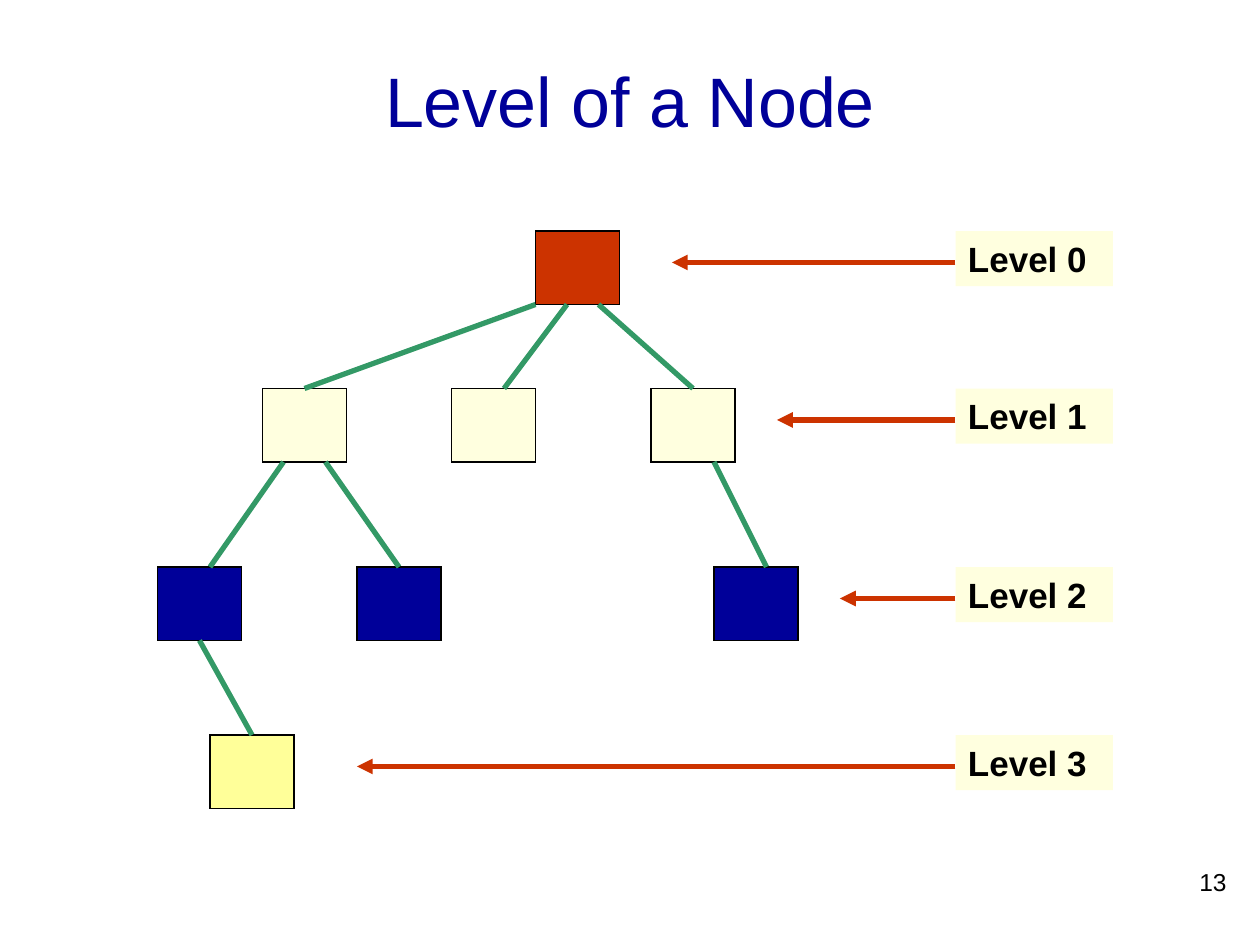
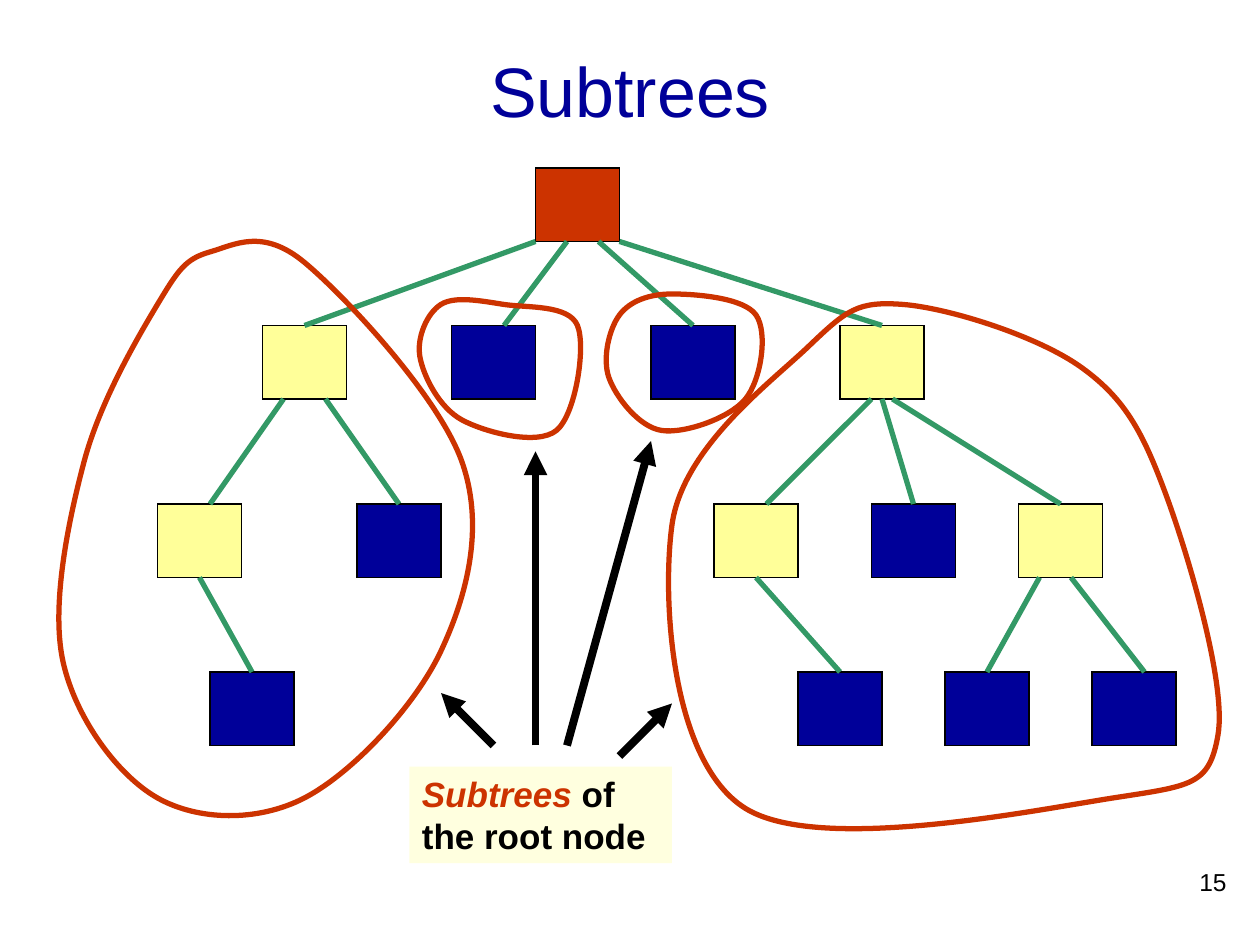
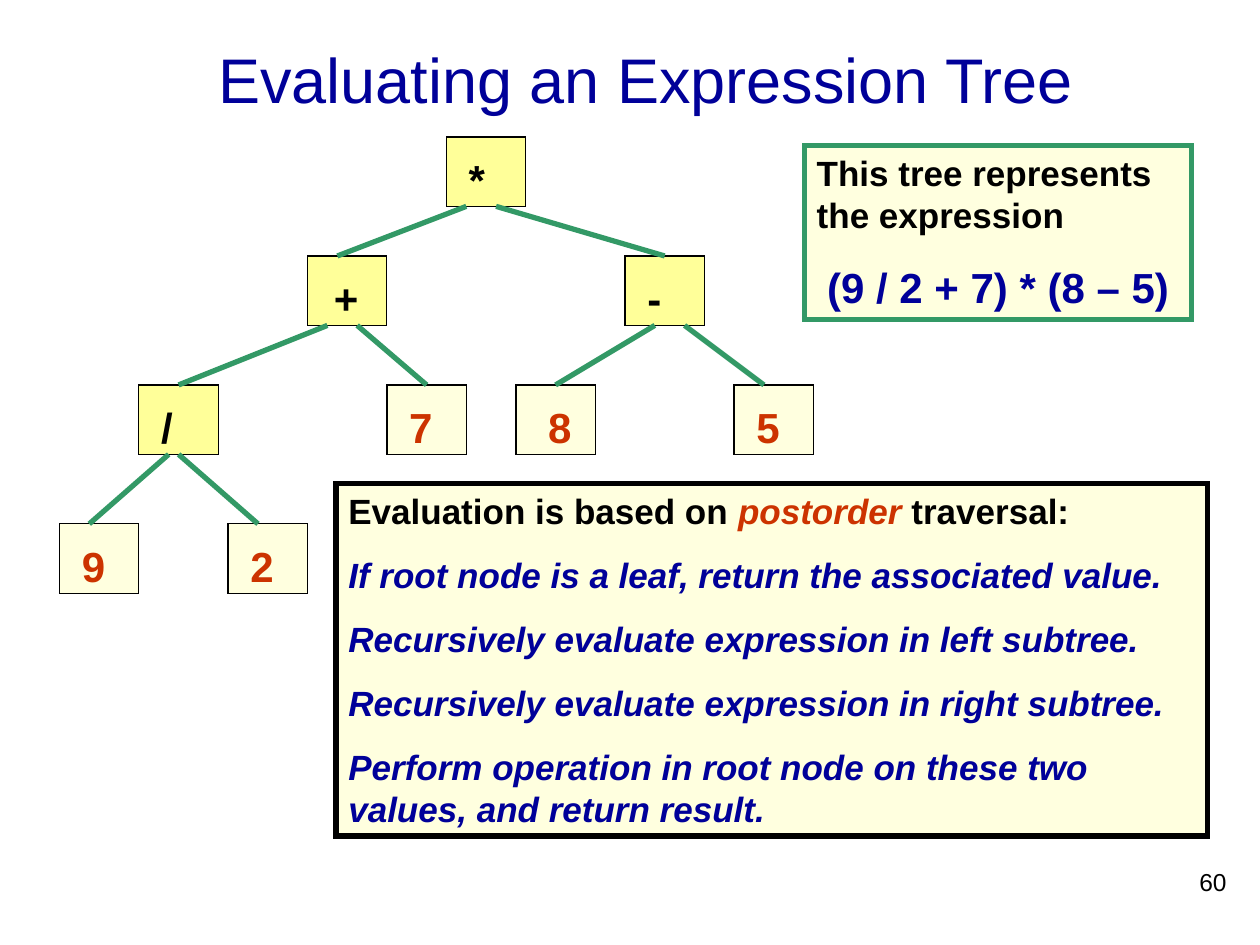
from pptx import Presentation, util as u
from pptx.dml.color import RGBColor
from pptx.enum import shapes, text
from pptx.oxml.ns import qn
from lxml import etree

rgb = RGBColor.from_string
RED, NAVY, GREEN, BLACK = "CC3300", "000099", "339966", "000000"
CREAM, YELLOW = "FFFFDF", "FFFF99"
LEFT, MID, RIGHT = text.PP_ALIGN.LEFT, text.PP_ALIGN.CENTER, text.PP_ALIGN.RIGHT

deck = Presentation()
deck.slide_width, deck.slide_height = u.Inches(10), u.Inches(7.5)
CELL = deck.slide_width / 120
SMALL = u.Mm(2)
WIDE, HIGH = 8, 7


def box(page, area, paras=(), fill=None, edge=None, thick=0.75, unit=CELL):
    area = [round(n * unit) for n in area]
    if fill:
        shape = page.shapes.add_shape(shapes.MSO_SHAPE.RECTANGLE, *area)
        shape.shadow.inherit = False
        shape.fill.solid()
        shape.fill.fore_color.rgb = rgb(fill)
        if edge:
            shape.line.color.rgb = rgb(edge)
            shape.line.width = u.Pt(thick)
            etree.SubElement(shape.line._get_or_add_ln(), qn("a:miter"), lim="800000")
        else:
            shape.line.fill.background()
    else:
        shape = page.shapes.add_textbox(*area)
    frame = shape.text_frame
    frame.word_wrap = True
    frame.vertical_anchor = text.MSO_ANCHOR.TOP
    for i, (size, bold, align, runs) in enumerate(paras):
        para = frame.add_paragraph() if i else frame.paragraphs[0]
        para.alignment = align
        if i:
            para.space_before = u.Pt(size * 0.625)
        para.font.name = "Arial"
        para.font.size = u.Pt(size)
        para.font.bold = bold
        for words, tint, slant in runs:
            run = para.add_run()
            run.text = words
            run.font.color.rgb = rgb(tint)
            run.font.italic = slant
    return shape


def link(page, ends, tint, thick=3, arrow=False, unit=CELL):
    ends = [round(n * unit) for n in ends]
    line = page.shapes.add_connector(shapes.MSO_CONNECTOR.STRAIGHT, *ends)
    line.line.color.rgb = rgb(tint)
    line.line.width = u.Pt(thick)
    if arrow:
        etree.SubElement(line.line._get_or_add_ln(), qn("a:tailEnd"), type="triangle")
    etree.SubElement(line._element.spPr, qn("a:effectLst"))


trees = [
    dict(title="Level of a Node", size=40, area=(9, 2, 102, 15), num="13",
         unit=CELL, tops=(22, 37, 54, 70),
         nodes=[[(51, RED)],
                [(25, CREAM), (43, CREAM), (62, CREAM)],
                [(15, NAVY), (34, NAVY), (68, NAVY)],
                [(20, YELLOW)]],
         links=[[(51, 29), (54, 48), (57, 66)],
                [(27, 20), (31, 38), (68, 73)],
                [(19, 24)]]),
    dict(title="Subtrees", size=40, area=(9, 4, 102, 9), num="15",
         unit=CELL, tops=(16, 31, 48, 64),
         nodes=[[(51, RED)],
                [(25, YELLOW), (43, NAVY), (62, NAVY), (80, YELLOW)],
                [(15, YELLOW), (34, NAVY), (68, YELLOW), (83, NAVY), (97, YELLOW)],
                [(20, NAVY), (76, NAVY), (90, NAVY), (104, NAVY)]],
         links=[[(51, 29), (54, 48), (57, 66), (59, 84)],
                [(27, 20), (31, 38), (83, 73), (84, 87), (85, 101)],
                [(19, 24), (72, 80), (99, 94), (102, 109)]]),
    dict(title="Evaluating an Expression Tree", size=36, area=(10, 2, 103, 11), num="60",
         unit=SMALL, tops=(13.8, 25.8, 38.8, 52.8),
         nodes=[[(45, YELLOW)],
                [(31, YELLOW), (63, YELLOW)],
                [(14, YELLOW), (39, CREAM), (52, CREAM), (74, CREAM)],
                [(6, CREAM), (23, CREAM)]],
         links=[[(47, 34), (50, 67)],
                [(33, 18), (36, 43), (66, 56), (69, 77)],
                [(17, 9), (18, 26)]]),
]

pages = []
for tree in trees:
    page = deck.slides.add_slide(deck.slide_layouts[6])
    pages.append(page)
    unit, tops = tree["unit"], tree["tops"]
    title = box(page, tree["area"], [(tree["size"], False, MID, [(tree["title"], NAVY, False)])])
    title.text_frame.vertical_anchor = text.MSO_ANCHOR.MIDDLE
    for top, row in zip(tops, tree["nodes"]):
        for left, fill in row:
            box(page, (left, top, WIDE, HIGH), fill=fill, edge=BLACK, unit=unit)
    for top, below, row in zip(tops, tops[1:], tree["links"]):
        for start, end in row:
            link(page, (start, top + HIGH, end, below), GREEN, unit=unit)
    box(page, (93, 82, 25, 6), [(14, False, RIGHT, [(tree["num"], BLACK, False)])])

levels, subs, sums = pages

for i, (top, tip) in enumerate(zip(trees[0]["tops"], (64, 74, 80, 34))):
    box(levels, (91, top, 15, 5.25), [(20, True, LEFT, [(f"Level {i}", BLACK, False)])], CREAM)
    link(levels, (91, top + 3, tip, top + 3), RED, arrow=True)

loops = [
    [(29, 25), (44, 44), (42, 62), (29, 76), (15, 76), (6, 63), (8, 44), (15, 29), (20, 24)],
    [(86, 29), (103, 35), (111, 47), (116, 70), (106, 76), (71, 77), (64, 50), (77, 33)],
    [(48, 29), (55, 31), (53, 41), (44, 40), (40, 34), (42, 29)],
    [(64, 28), (72, 30), (71, 38), (63, 41), (58, 36), (59, 30)],
]
for loop in loops:
    curve = []
    for i in range(len(loop)):
        quad = [loop[(i + k) % len(loop)] for k in (-1, 0, 1, 2)]
        pairs = list(zip(*quad))
        curve.append([CELL * (b + (c - a) / 6) for a, b, c, d in pairs])
        curve.append([CELL * (c - (d - b) / 6) for a, b, c, d in pairs])
        curve.append([CELL * c for a, b, c, d in pairs])
    pen = subs.shapes.build_freeform(*curve[-1])
    pen.add_line_segments(curve, close=True)
    ring = pen.convert_to_shape()
    sides = list(ring._element.iter(qn("a:lnTo")))
    for first, second, third in zip(sides[::3], sides[1::3], sides[2::3]):
        bend = etree.Element(qn("a:cubicBezTo"))
        first.addprevious(bend)
        for side in (first, second, third):
            bend.append(side[0])
            side.getparent().remove(side)
    ring.shadow.inherit = False
    ring.fill.background()
    ring.line.color.rgb = rgb(RED)
    ring.line.width = u.Pt(3)

box(subs, (39, 73, 25, 9.2),
    [(20, True, LEFT, [("Subtrees", RED, True), (" of the root node", BLACK, False)])], CREAM)
for ends in [(54, 71, 62, 42), (51, 71, 51, 43), (47, 71, 42, 66), (59, 72, 64, 67)]:
    link(subs, ends, BLACK, 4.5, True)

marks = [["*"], ["+", "-"], ["/", "7", "8", "5"], ["9", "2"]]
shift = {"+": 1.4, "8": 2}
for top, row, signs in zip(trees[2]["tops"], trees[2]["nodes"], marks):
    for (left, fill), sign in zip(row, signs):
        tint = RED if sign.isdigit() else BLACK
        box(sums, (left + shift.get(sign, 1), top + 1.05, 5, 6.4),
            [(24, True, LEFT, [(sign, tint, False)])], unit=SMALL)

box(sums, (76.6, 13.85, 36.9, 16.6),
    [(20, True, LEFT, [("This tree represents the expression", BLACK, False)]),
     (24, True, MID, [("(9 / 2 + 7) * (8 – 5)", NAVY, False)])],
    CREAM, GREEN, 3)

rules = ["If root node is a leaf, return the associated value.",
         "Recursively evaluate expression in left subtree.",
         "Recursively evaluate expression in right subtree.",
         "Perform operation in root node on these two values, and return result."]
intro = [("Evaluation is based on ", BLACK, False), ("postorder", RED, True),
         (" traversal:", BLACK, False)]
box(sums, (32, 46.03, 83, 33.6),
    [(20, True, LEFT, runs) for runs in [intro] + [[(rule, NAVY, True)] for rule in rules]],
    CREAM, BLACK, 3)

deck.save("out.pptx")
